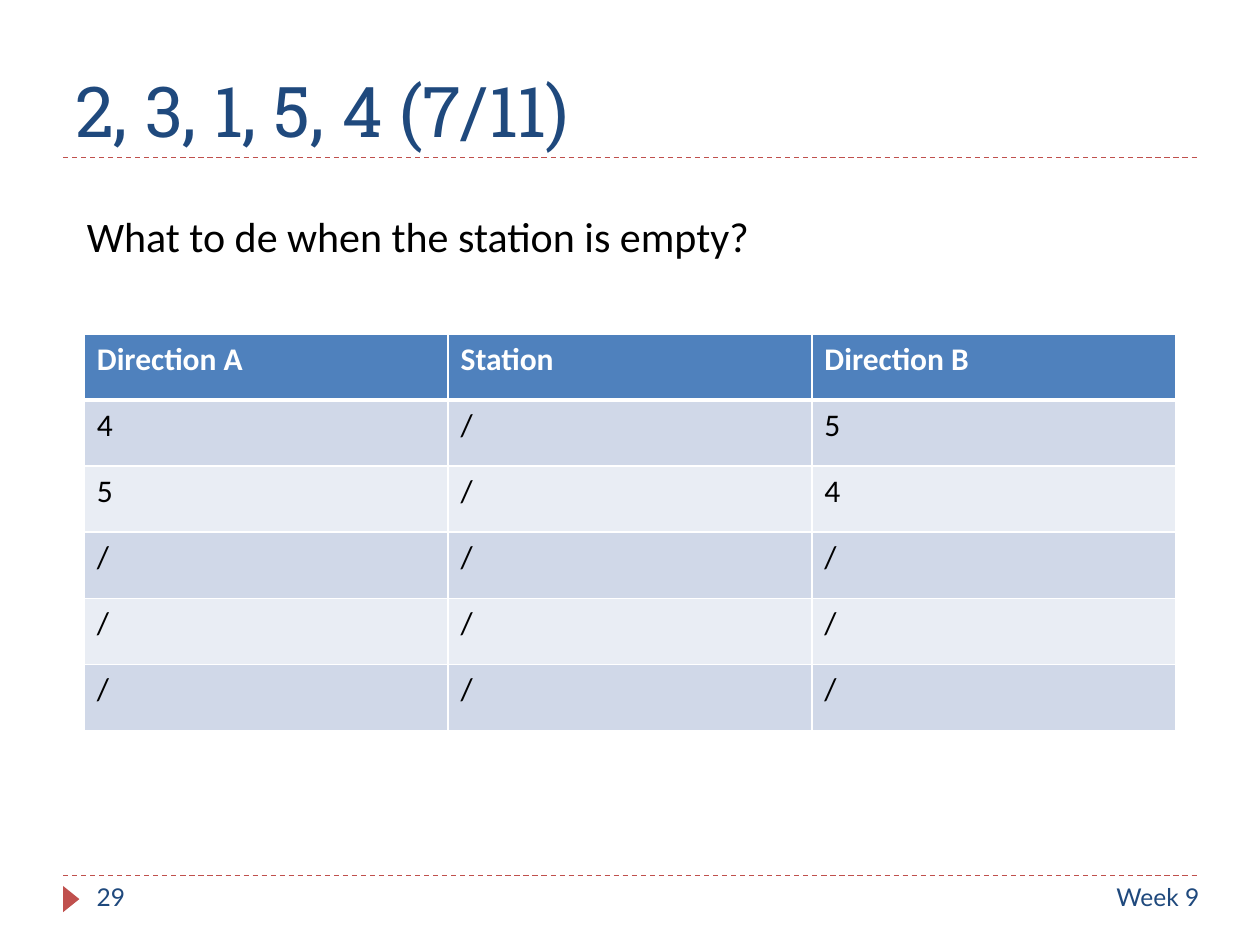
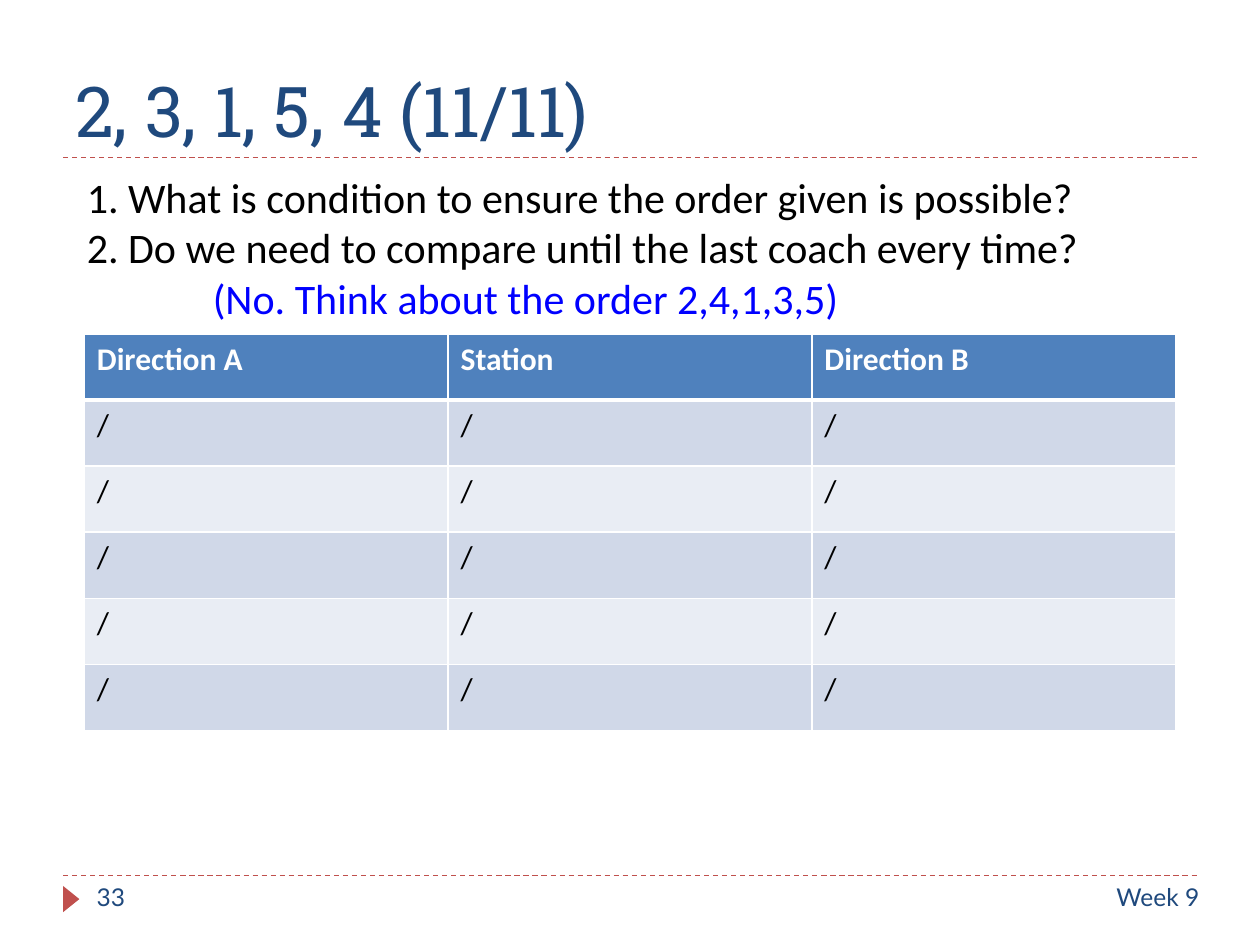
from dataclasses import dataclass

from lxml import etree
from pptx import Presentation
from pptx.dml.color import RGBColor
from pptx.enum.dml import MSO_LINE
from pptx.enum.shapes import MSO_CONNECTOR, MSO_SHAPE
from pptx.enum.text import MSO_ANCHOR, PP_ALIGN
from pptx.oxml.ns import qn
from pptx.util import Cm, Pt

DASH = MSO_LINE.DASH
STRAIGHT = MSO_CONNECTOR.STRAIGHT
TRIANGLE = MSO_SHAPE.ISOSCELES_TRIANGLE
TOP, BOTTOM = MSO_ANCHOR.TOP, MSO_ANCHOR.BOTTOM
LEFT, RIGHT = PP_ALIGN.LEFT, PP_ALIGN.RIGHT


@dataclass(frozen=True)
class Style:
    """Font, size in points, colour and weight of a text."""
    font: str
    size: int
    color: str
    bold: bool = False


@dataclass(frozen=True)
class Theme:
    """Colours and text styles that all slides share."""
    accent: str = "C0504D"
    border: str = "FFFFFF"
    header_fill: str = "4F81BD"
    row_fills: tuple = ("D0D8E8", "E9EDF4")
    title: Style = Style("Roboto Slab", 40, "1F497D")
    footer: Style = Style("Lato", 14, "1F497D")
    body: Style = Style("Calibri", 24, "000000")
    answer: Style = Style("Calibri", 24, "0000FF")
    header: Style = Style("Calibri", 18, "FFFFFF", True)
    cell: Style = Style("Calibri", 18, "000000")


THEME = Theme()

# Content: each question line is (text, style, indent in cm).
FOOTER = "Week 9"
HEADERS = ("Direction A", "Station", "Direction B")
EMPTY_ROW = ("/", "/", "/")
SLIDES = [
    {
        "title": "2, 3, 1, 5, 4 (7/11)",
        "number": "29",
        "questions": [("What to de when the station is empty?", THEME.body, 0)],
        "question_area": (1.5, 4.11, 14.05, 1.27),
        "rows": [("4", "/", "5"), ("5", "/", "4")] + [EMPTY_ROW] * 3,
    },
    {
        "title": "2, 3, 1, 5, 4 (11/11)",
        "number": "33",
        "questions": [
            ("1. What is condition to ensure the order given is possible?", THEME.body, 0),
            ("2. Do we need to compare until the last coach every time?", THEME.body, 0),
            ("(No. Think about the order 2,4,1,3,5)", THEME.answer, 2.54),
        ],
        "question_area": (1.5, 3.33, 20.78, 3.33),
        "rows": [EMPTY_ROW] * 5,
    },
]

# Layout in cm: areas are left, top, width, height.
PAGE_SIZE = (25.4, 19.05)
MARGIN = 1.27
TITLE_RULE, FOOTER_RULE = 3.18, 17.65
TITLE_AREA = (MARGIN, 0.43, PAGE_SIZE[0] - 2 * MARGIN, 2.74)
NUMBER_AREA = (1.7, FOOTER_RULE, 5.5, 1.02)
FOOTER_AREA = (14.7, FOOTER_RULE, 9.73, 1.02)
MARKER_AREA = (1.17, 17.96, 0.53, 0.33)
TABLE_AREA = (1.7, 6.73, 22, 8)


def lengths(area):
    """Turn an area in cm into slide lengths."""
    return [Cm(value) for value in area]


def format_paragraph(para, style, align=LEFT):
    """Apply a text style to all runs of a paragraph."""
    para.alignment = align
    for span in para.runs:
        span.font.name = style.font
        span.font.size = Pt(style.size)
        span.font.bold = style.bold
        span.font.color.rgb = RGBColor.from_string(style.color)


def add_text(page, area, lines, anchor=TOP, align=LEFT, wrap=True):
    """Add a text box with one paragraph for each (text, style, indent)."""
    frame = page.shapes.add_textbox(*lengths(area)).text_frame
    frame.word_wrap = wrap
    frame.vertical_anchor = anchor
    frame.text = "\n".join(text for text, _, _ in lines)
    for para, (_, style, indent) in zip(frame.paragraphs, lines):
        format_paragraph(para, style, align)
        if indent:
            properties = para._p.get_or_add_pPr()
            properties.set("marL", str(Cm(indent)))
            properties.set("indent", "0")


def add_rule(page, top):
    """Add a dashed rule between the page margins."""
    rule = page.shapes.add_connector(
        STRAIGHT, Cm(MARGIN), Cm(top), Cm(PAGE_SIZE[0] - MARGIN), Cm(top))
    rule.line.color.rgb = RGBColor.from_string(THEME.accent)
    rule.line.width = Pt(0.75)
    rule.line.dash_style = DASH
    etree.SubElement(rule._element.spPr, qn("a:effectLst"))


def add_frame(page, title, number):
    """Add the rules, marker, title and footer of a page."""
    add_rule(page, FOOTER_RULE)
    add_rule(page, TITLE_RULE)
    marker = page.shapes.add_shape(TRIANGLE, *lengths(MARKER_AREA))
    marker.rotation = 90
    marker.shadow.inherit = False
    marker.fill.solid()
    marker.fill.fore_color.rgb = RGBColor.from_string(THEME.accent)
    marker.line.fill.background()
    add_text(page, TITLE_AREA, [(title, THEME.title, 0)], anchor=BOTTOM)
    add_text(page, NUMBER_AREA, [(number, THEME.footer, 0)])
    add_text(page, FOOTER_AREA, [(FOOTER, THEME.footer, 0)], align=RIGHT)


def set_borders(cell, widths):
    """Draw cell borders; widths maps an edge letter to points."""
    properties = cell._tc.get_or_add_tcPr()
    for edge, width in widths.items():
        line = etree.SubElement(properties, qn(f"a:ln{edge}"), w=str(Pt(width)))
        fill = etree.SubElement(line, qn("a:solidFill"))
        etree.SubElement(fill, qn("a:srgbClr"), val=THEME.border)


def add_station_table(page, rows):
    """Add the table of coaches on each side of the station."""
    grid = [HEADERS, *rows]
    table = page.shapes.add_table(
        len(grid), len(HEADERS), *lengths(TABLE_AREA)).table
    for row_index, texts in enumerate(grid):
        is_header = row_index == 0
        style = THEME.header if is_header else THEME.cell
        color = THEME.header_fill if is_header else THEME.row_fills[(row_index - 1) % 2]
        widths = {"L": 1, "R": 1, "T": 3 if row_index == 1 else 1,
                  "B": 3 if is_header else 1}
        for column_index, text in enumerate(texts):
            cell = table.cell(row_index, column_index)
            cell.text_frame.text = text
            format_paragraph(cell.text_frame.paragraphs[0], style)
            set_borders(cell, widths)
            cell.fill.solid()
            cell.fill.fore_color.rgb = RGBColor.from_string(color)


def build_deck():
    """Build all pages and save the deck."""
    deck = Presentation()
    deck.slide_width, deck.slide_height = lengths(PAGE_SIZE)
    for content in SLIDES:
        page = deck.slides.add_slide(deck.slide_layouts[6])
        add_frame(page, content["title"], content["number"])
        add_station_table(page, content["rows"])
        add_text(page, content["question_area"], content["questions"], wrap=False)
    deck.save("out.pptx")


build_deck()
